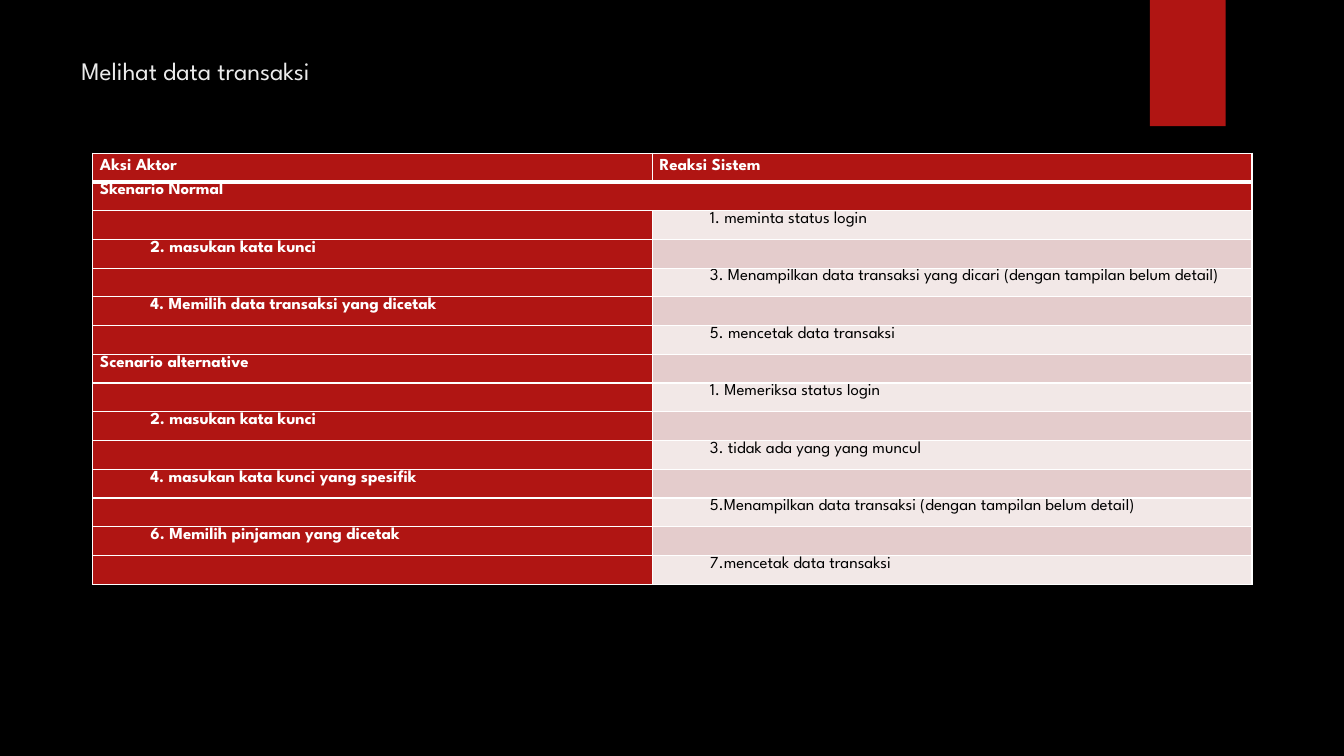
from lxml import etree
from pptx import Presentation, util as u
from pptx.dml.color import RGBColor
from pptx.enum import shapes, text
from pptx.oxml.ns import qn

FACE = "League Spartan"
RED, WHITE, BLACK = "B01513", "FFFFFF", "000000"
LIGHT, DARK = "F2E8E7", "E4CCCC"
TITLE = "Melihat data transaksi"
HEADS = ["Aksi Aktor", "Reaksi Sistem"]
NORMAL = [
    "1. meminta status login",
    "2. masukan kata kunci",
    "3. Menampilkan data transaksi yang dicari (dengan tampilan belum detail)",
    "4. Memilih data transaksi yang dicetak",
    "5. mencetak data transaksi",
]
OTHER = [
    "1. Memeriksa status login",
    "2. masukan kata kunci",
    "3. tidak ada yang yang muncul",
    "4. masukan kata kunci yang spesifik",
    "5.Menampilkan data transaksi (dengan tampilan belum detail)",
    "6. Memilih pinjaman yang dicetak",
    "7.mencetak data transaksi",
]


def color(code):
    return RGBColor.from_string(code)


def paint(item, code):
    item.fill.solid()
    item.fill.fore_color.rgb = color(code)


def write(frame, words, size=12, ink=WHITE, bold=False, lead=1.07, indent=0):
    para = frame.paragraphs[0]
    para.line_spacing = lead
    if indent:
        para._p.get_or_add_pPr().set("marL", str(u.Cm(indent)))
    if words:
        run = para.add_run()
        run.text = words
        run.font.name = FACE
        run.font.size = u.Pt(size)
        run.font.bold = bold
        run.font.color.rgb = color(ink)
    else:
        end = para._p.get_or_add_endParaRPr()
        end.set("sz", str(size * 100))


def edge(cell, low=1):
    props = cell._tc.get_or_add_tcPr()
    for i, (side, width) in enumerate([("L", 1), ("R", 1), ("T", 1), ("B", low)]):
        line = etree.Element(qn("a:ln" + side), w=str(u.Pt(width)))
        fill = etree.SubElement(line, qn("a:solidFill"))
        etree.SubElement(fill, qn("a:srgbClr"), val=WHITE)
        props.insert(i, line)


def fill_cell(cell, words, back, low=1, **style):
    cell.margin_left = cell.margin_right = u.Cm(0.18)
    cell.margin_top = cell.margin_bottom = 0
    paint(cell, back)
    edge(cell, low)
    write(cell.text_frame, words, **style)


def add_title(slide, box):
    frame = slide.shapes.add_textbox(*map(u.Cm, box)).text_frame
    frame.word_wrap = True
    frame.vertical_anchor = text.MSO_ANCHOR.TOP
    write(frame, TITLE, size=18, ink="EBEBEB", lead=1.0)


def add_ribbon(slide, box):
    shape = slide.shapes.add_shape(shapes.MSO_SHAPE.RECTANGLE, *map(u.Cm, box))
    shape.shadow.inherit = False
    paint(shape, RED)
    shape.line.fill.background()


def list_rows():
    rows = [(*HEADS, 0), ("Skenario Normal", "", 0)]
    for steps in (NORMAL, OTHER):
        if steps is OTHER:
            rows.append(("Scenario alternative", "", 0))
        for i, step in enumerate(steps):
            rows.append(("", step, 1.27) if i % 2 == 0 else (step, "", 1.27))
    return rows


def add_steps(slide, box):
    rows = list_rows()
    left, top, width, height = box
    table = slide.shapes.add_table(len(rows), 2, *map(u.Cm, box)).table
    first = 14.1
    table.columns[0].width = u.Cm(first)
    table.columns[1].width = u.Cm(width - first)
    for i, (actor, system, indent) in enumerate(rows):
        table.rows[i].height = u.Cm(height / len(rows))
        low = 3 if i == 0 else 1
        lead = u.Pt(14.7) if i == 0 else 1.07
        head = i < 2
        back = RED if head else (DARK if i % 2 else LIGHT)
        fill_cell(table.cell(i, 0), actor, RED, low,
                  bold=True, lead=lead, indent=indent)
        fill_cell(table.cell(i, 1), system, back, low, bold=head,
                  ink=WHITE if head else BLACK, lead=lead, indent=indent)
    table.cell(1, 0).merge(table.cell(1, 1))


def main():
    deck = Presentation()
    deck.slide_width, deck.slide_height = u.Cm(33.87), u.Cm(19.05)
    slide = deck.slides.add_slide(deck.slide_layouts[6])
    paint(slide.background, BLACK)
    add_ribbon(slide, (28.98, 0, 1.91, 3.18))
    add_title(slide, (1.8, 1.27, 26.14, 3.89))
    add_steps(slide, (2.34, 3.86, 29.21, 10.86))
    deck.save("out.pptx")


if __name__ == "__main__":
    main()
